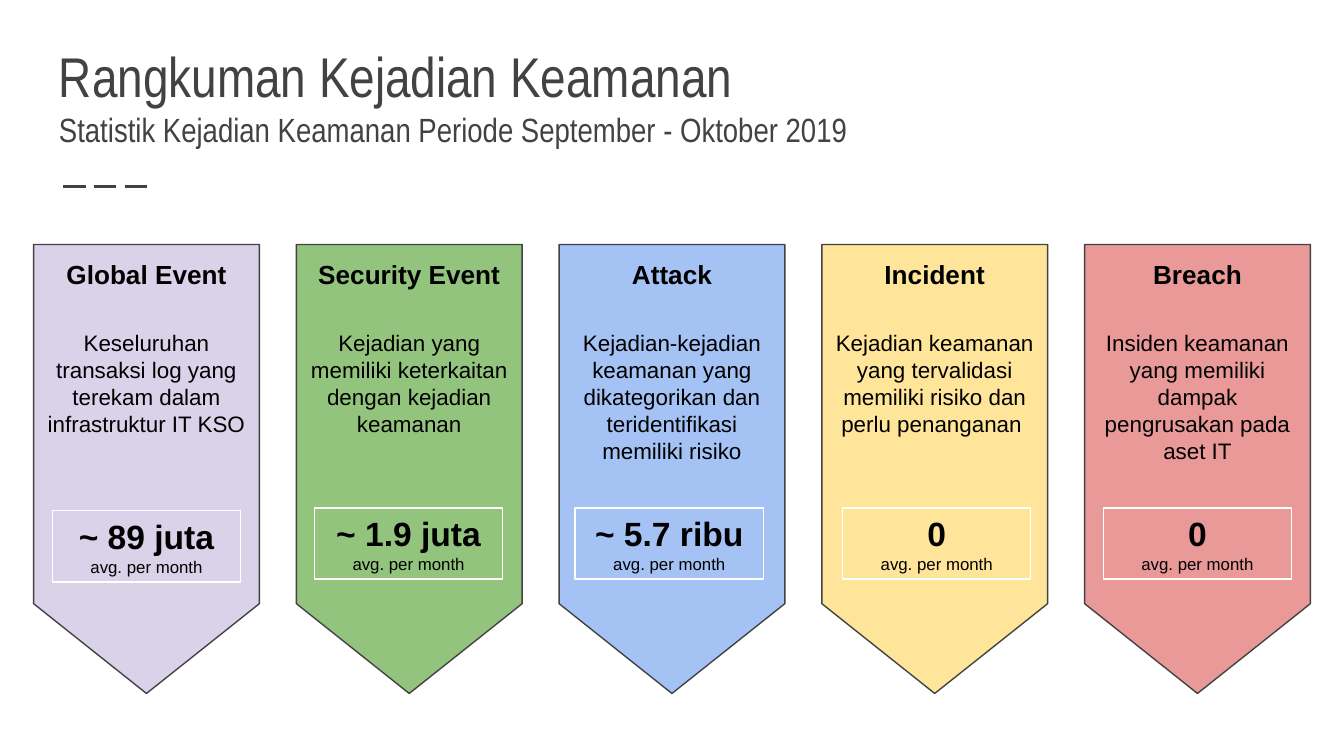
from lxml import etree
from pptx import Presentation
from pptx import util as u
from pptx.dml.color import RGBColor
from pptx.enum import dml, shapes, text
from pptx.oxml.ns import qn

DARK = "424242"
CARDS = [
    ("Global Event", "Keseluruhan transaksi log yang terekam dalam infrastruktur IT KSO",
     "~ 89 juta", "D9D2E9", 0.39, 3.8),
    ("Security Event", "Kejadian yang memiliki keterkaitan dengan kejadian keamanan",
     "~ 1.9 juta", "93C47D", 2.34, 3.78),
    ("Attack", "Kejadian-kejadian keamanan yang dikategorikan dan teridentifikasi memiliki risiko",
     "~ 5.7 ribu", "A4C2F4", 4.28, 3.78),
    ("Incident", "Kejadian keamanan yang tervalidasi memiliki risiko dan perlu penanganan ",
     "0", "FFE599", 6.27, 3.78),
    ("Breach", "Insiden keamanan yang memiliki dampak pengrusakan pada aset IT",
     "0", "EA9999", 8.21, 3.78),
]


def color(code):
    return RGBColor.from_string(code)


def write(shape, lines, face, ink, align, anchor, gap=0):
    frame = shape.text_frame
    frame.word_wrap = True
    frame.vertical_anchor = anchor
    frame.margin_left = frame.margin_right = u.Inches(0.1)
    frame.margin_top = frame.margin_bottom = u.Inches(0.1)
    for i, (line, size, bold) in enumerate(lines):
        para = frame.add_paragraph() if i else frame.paragraphs[0]
        para.text = line
        para.alignment = align
        para.space_before = u.Pt(gap if i else 0)
        font = para.font
        font.name, font.size, font.bold = face, u.Pt(size), bold
        font.color.rgb = color(ink)


def add_title(slide):
    box = slide.shapes.add_textbox(u.Inches(0.34), u.Inches(0.41), u.Inches(9.32), u.Inches(0.8))
    lines = [("Rangkuman Kejadian Keamanan", 30, False),
             ("Statistik Kejadian Keamanan Periode September - Oktober 2019", 18, False)]
    write(box, lines, "Arial Narrow", DARK, text.PP_ALIGN.LEFT, text.MSO_ANCHOR.BOTTOM)


def add_rule(slide):
    y = u.Inches(1.39)
    rule = slide.shapes.add_connector(shapes.MSO_CONNECTOR.STRAIGHT, u.Inches(0.47), y, u.Inches(1.14), y)
    rule.line.color.rgb = color(DARK)
    rule.line.width = u.Pt(1.5)
    rule.line.dash_style = dml.MSO_LINE.LONG_DASH
    etree.SubElement(rule._element.spPr, qn("a:effectLst"))


def add_block(slide, kind, area, fill, edge, lines, anchor, gap=0):
    block = slide.shapes.add_shape(kind, *map(u.Inches, area))
    block.shadow.inherit = False
    if fill:
        block.fill.solid()
        block.fill.fore_color.rgb = color(fill)
    else:
        block.fill.background()
    block.line.color.rgb = color(edge)
    block.line.width = u.Pt(0.75)
    write(block, lines, "Arial", "000000", text.PP_ALIGN.CENTER, anchor, gap)


def add_card(slide, left, card):
    name, note, count, fill, x, y = card
    kind = shapes.MSO_SHAPE
    add_block(slide, kind.FLOWCHART_OFFPAGE_CONNECTOR, (left, 1.82, 1.68, 3.34), fill, DARK,
              [(name, 14, True), (note, 12, False)], text.MSO_ANCHOR.TOP, 21.5)
    add_block(slide, kind.RECTANGLE, (x, y, 1.4, 0.53), None, "FFFFFF",
              [(count, 18, True), ("avg. per month", 9, False)], text.MSO_ANCHOR.MIDDLE)


def main():
    deck = Presentation()
    deck.slide_width, deck.slide_height = u.Inches(10), u.Inches(10 * 9 / 16)
    slide = deck.slides.add_slide(deck.slide_layouts[6])
    add_rule(slide)
    add_title(slide)
    step = (8.07 - 0.25) / (len(CARDS) - 1)
    for i, card in enumerate(CARDS):
        add_card(slide, 0.25 + i * step, card)
    deck.save("out.pptx")


if __name__ == "__main__":
    main()
